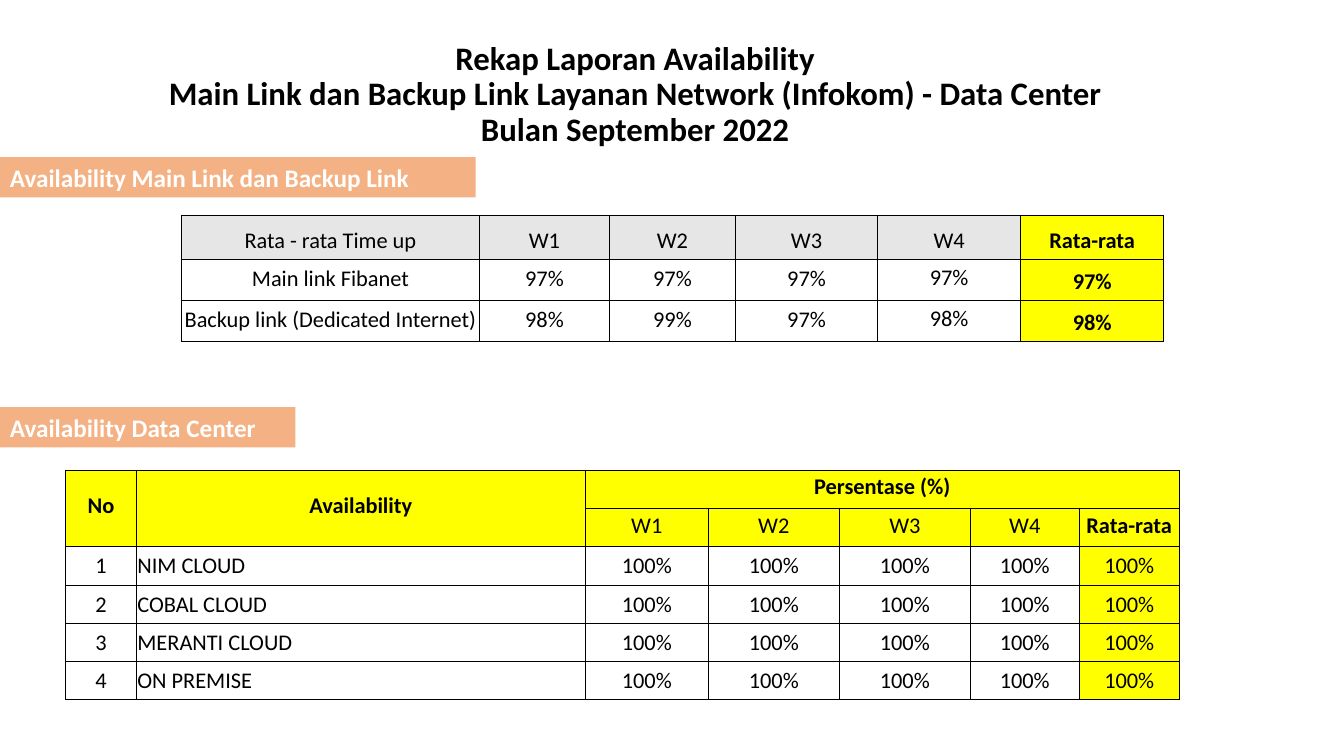
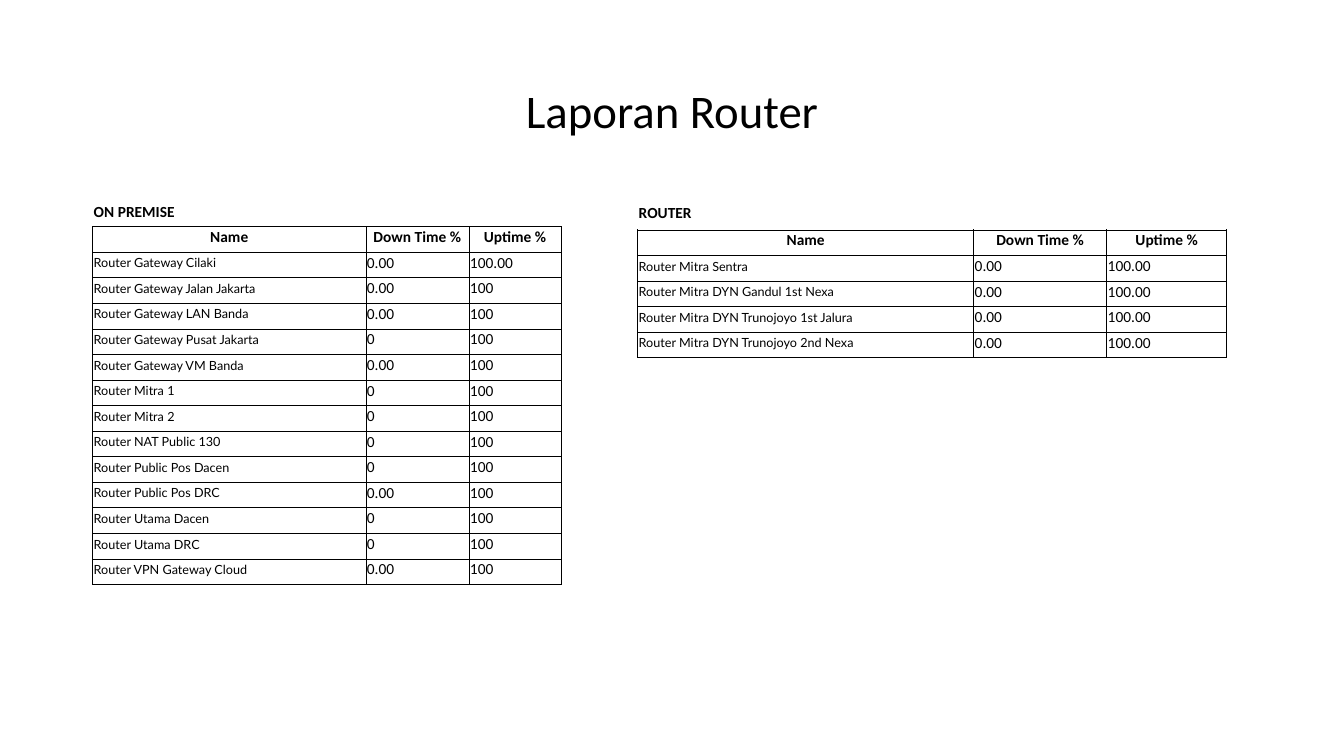
"""Build the two-slide availability and router report."""
from lxml import etree
from pptx import Presentation, util as u
from pptx.dml.color import RGBColor
from pptx.enum import shapes, text
from pptx.oxml.ns import qn

COLORS = {"ink": "000000", "paper": "FFFFFF", "band": "F4B183",
          "header": "E7E6E6", "accent": "FFFF00"}
LEFT, CENTER = text.PP_ALIGN.LEFT, text.PP_ALIGN.CENTER
MIDDLE, BOTTOM = text.MSO_ANCHOR.MIDDLE, text.MSO_ANCHOR.BOTTOM


class Report:
    """Hold the style, the 40 by 30 grid and the current slide."""

    COLUMNS, ROWS = 40, 30
    TITLE_ONLY = 5

    def __init__(self):
        self.deck = Presentation()
        self.deck.slide_width = u.Inches(13.33)
        self.deck.slide_height = u.Inches(7.5)
        self.slide = None

    def x(self, columns):
        """Turn grid columns into a length."""
        return round(self.deck.slide_width * columns / self.COLUMNS)

    def y(self, rows):
        """Turn grid rows into a length."""
        return round(self.deck.slide_height * rows / self.ROWS)

    def box(self, left, top, width, height):
        """Turn a grid rectangle into lengths."""
        return self.x(left), self.y(top), self.x(width), self.y(height)

    def wording(self, paragraph, words, size, color="ink", bold=False,
                align=LEFT, spacing=None, face="Calibri"):
        """Fill and format one paragraph."""
        paragraph.text = words
        paragraph.alignment = align
        paragraph.line_spacing = spacing
        font = paragraph.font
        font.name, font.size, font.bold = face, u.Pt(size), bold
        font.color.rgb = RGBColor.from_string(COLORS[color])

    def page(self, title, at, size, bold=False):
        """Start a slide with its title."""
        layout = self.deck.slide_layouts[self.TITLE_ONLY]
        self.slide = self.deck.slides.add_slide(layout)
        heading = self.slide.shapes.title
        heading.left, heading.top, heading.width, heading.height = self.box(*at)
        frame = heading.text_frame
        frame.word_wrap = True
        frame.auto_size = text.MSO_AUTO_SIZE.NONE
        frame.vertical_anchor = MIDDLE
        self.wording(frame.paragraphs[0], title, size, bold=bold,
                     align=CENTER, spacing=0.9)

    def band(self, words, top, width):
        """Add a section band at the left edge."""
        band = self.slide.shapes.add_shape(
            shapes.MSO_SHAPE.RECTANGLE, *self.box(0, top, width, 1.6))
        band.shadow.inherit = False
        band.fill.solid()
        band.fill.fore_color.rgb = RGBColor.from_string(COLORS["band"])
        band.line.fill.background()
        frame = band.text_frame
        frame.word_wrap = True
        frame.auto_size = text.MSO_AUTO_SIZE.SHAPE_TO_FIT_TEXT
        frame.vertical_anchor = text.MSO_ANCHOR.TOP
        self.wording(frame.paragraphs[0], words, 18, "paper", bold=True)

    def border(self, cell, line, sides):
        """Draw the named sides of a cell and clear the others."""
        properties = cell._tc.get_or_add_tcPr()
        for side in "LRTB":
            edge = etree.SubElement(properties, qn(f"a:ln{side}"),
                                    w=str(u.Pt(line)))
            if side in sides:
                fill = etree.SubElement(edge, qn("a:solidFill"))
                etree.SubElement(fill, qn("a:srgbClr"), val=COLORS["ink"])
            else:
                etree.SubElement(edge, qn("a:noFill"))

    def table(self, left, top, widths, heights, content, look, line=0.5,
              merges=()):
        """Add a table whose cells are styled by look(row, column)."""
        table = self.slide.shapes.add_table(
            len(heights), len(widths),
            *self.box(left, top, sum(widths), sum(heights))).table
        table.first_row = table.horz_banding = False
        for column, width in zip(table.columns, widths):
            column.width = self.x(width)
        for row, height in zip(table.rows, heights):
            row.height = self.y(height)
        for r, entries in enumerate(content):
            for c, words in enumerate(entries):
                cell, style = table.cell(r, c), dict(look(r, c))
                cell.margin_left = cell.margin_right = u.Inches(0.01)
                cell.margin_top, cell.margin_bottom = u.Inches(0.01), u.Inches(0.05)
                cell.vertical_anchor = style.pop("anchor", MIDDLE)
                self.border(cell, line, style.pop("sides", "LRTB"))
                fill = style.pop("fill", None)
                if fill:
                    cell.fill.solid()
                    cell.fill.fore_color.rgb = RGBColor.from_string(COLORS[fill])
                else:
                    cell.fill.background()
                self.wording(cell.text_frame.paragraphs[0], words, **style)
        for first, last in merges:
            table.cell(*first).merge(table.cell(*last))

    def routers(self, left, widths, caption_height, height, caption, entries):
        """Add a captioned router table."""
        content = [(caption, "", ""), ("Name", "Down Time %", "Uptime %"), *entries]
        count = len(content) - 1
        heights = [caption_height] + [(height - caption_height) / count] * count
        self.table(left, 8, widths, heights, content, router_look)


def link_look(row, column):
    """Style the link availability table."""
    average = column == 5
    style = {"size": 16, "align": CENTER, "bold": average}
    if row == 0 or average:
        style.update(anchor=BOTTOM, fill="accent" if average else "header")
    elif column < 4:
        style["spacing"] = 1.1
    return style


def center_look(row, column):
    """Style the data center table."""
    header, average = row < 2, column == 6
    return {"size": 16,
            "align": LEFT if column == 1 and not header else CENTER,
            "anchor": MIDDLE if header else BOTTOM,
            "bold": row == 0 or (row == 1 and average),
            "fill": "accent" if header or average else None}


def router_look(row, column):
    """Style a router table."""
    if row == 0:
        return {"size": 11, "bold": True, "sides": "B"}
    if row == 1:
        return {"size": 11, "bold": True, "align": CENTER}
    return {"size": 9, "face": "Lato"} if column == 0 else {"size": 11}


def availability(report):
    """Build the availability slide."""
    report.page("Rekap Laporan Availability\v"
                "Main Link dan Backup Link Layanan Network (Infokom) - Data Center\v"
                "Bulan September 2022", (1.65, 1.32, 34.5, 4.92), 23.4, bold=True)
    weeks = ["W1", "W2", "W3", "W4", "Rata-rata"]
    report.table(5.4, 8.55, [8.87, 3.87, 3.75, 4.23, 4.26, 4.26],
                 [1.74, 1.63, 1.63],
                 [["Rata - rata Time up", *weeks],
                  ["Main link Fibanet"] + ["97%"] * 5,
                  ["Backup link (Dedicated Internet)",
                   "98%", "99%", "97%", "98%", "98%"]],
                 link_look, line=1)
    report.band("Availability Main Link dan Backup Link", 6.24, 14.16)
    report.band("Availability Data Center", 16.16, 8.79)
    places = ["NIM CLOUD", "COBAL CLOUD", "MERANTI CLOUD", "ON PREMISE"]
    report.table(1.95, 18.65, [2.11, 13.36, 3.66, 3.9, 3.9, 3.24, 2.98],
                 [1.52] * 6,
                 [["No", "Availability", "Persentase (%)", "", "", "", ""],
                  ["", "", *weeks],
                  *([str(number), place] + ["100%"] * 5
                    for number, place in enumerate(places, 1))],
                 center_look,
                 merges=[((0, 0), (1, 0)), ((0, 1), (1, 1)), ((0, 2), (0, 6))])


def router_report(report):
    """Build the router slide."""
    report.page("Laporan Router", (2.75, 1.6, 34.5, 5.8), 33.4)
    premise = [("Gateway Cilaki", "0.00", "100.00"),
               ("Gateway Jalan Jakarta", "0.00", "100"),
               ("Gateway LAN Banda", "0.00", "100"),
               ("Gateway Pusat Jakarta", "0", "100"),
               ("Gateway VM Banda", "0.00", "100"),
               ("Mitra 1", "0", "100"),
               ("Mitra 2", "0", "100"),
               ("NAT Public 130", "0", "100"),
               ("Public Pos Dacen", "0", "100"),
               ("Public Pos DRC", "0.00", "100"),
               ("Utama Dacen", "0", "100"),
               ("Utama DRC", "0", "100"),
               ("VPN Gateway Cloud", "0.00", "100")]
    partners = ["Sentra", "DYN Gandul 1st Nexa",
                "DYN Trunojoyo 1st Jalura", "DYN Trunojoyo 2nd Nexa"]
    report.routers(2.76, [8.13, 3.07, 2.74], 0.96, 15.16, "ON PREMISE",
                   [(f"Router {name}", down, up) for name, down, up in premise])
    report.routers(18.98, [10, 3.96, 3.57], 1.12, 6.2, "ROUTER",
                   [(f"Router Mitra {name}", "0.00", "100.00")
                    for name in partners])


def main():
    """Build and save the report."""
    report = Report()
    availability(report)
    router_report(report)
    report.deck.save("out.pptx")


if __name__ == "__main__":
    main()
